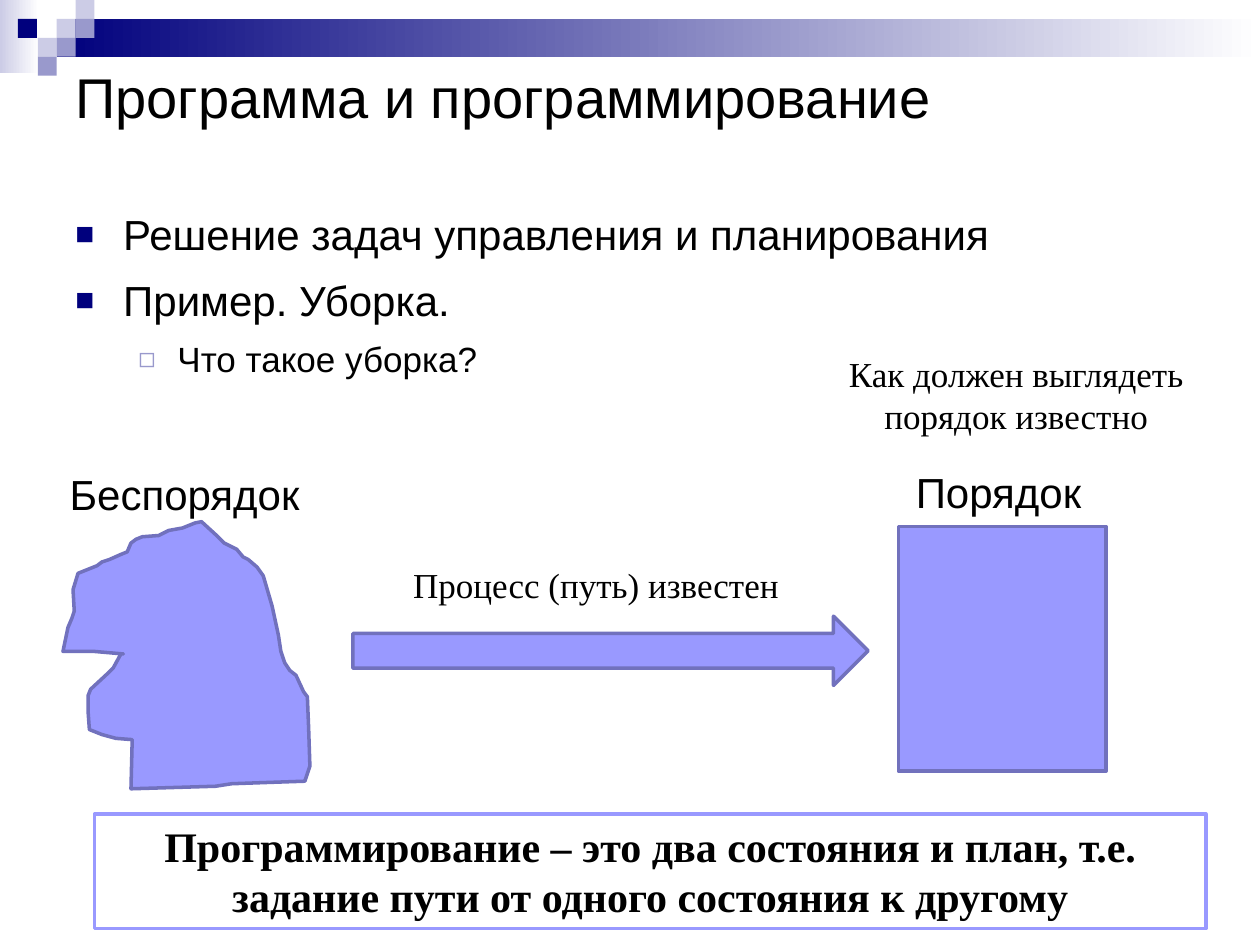
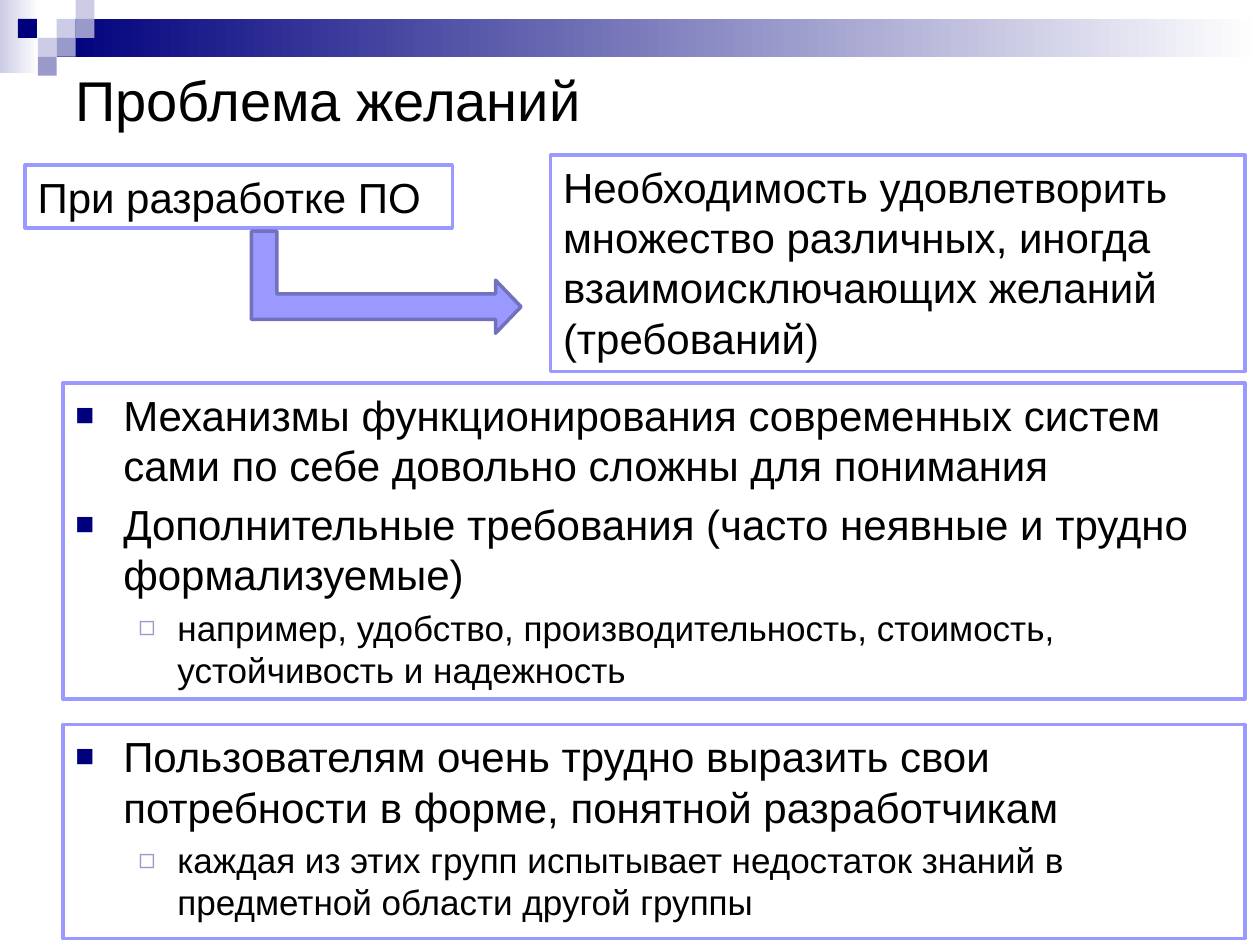
from lxml import etree
from pptx import Presentation
from pptx import util as u
from pptx.dml.color import RGBColor
from pptx.enum import shapes, text
from pptx.oxml import ns

NAVY, LAVENDER, PALE, VIOLET, EDGE = "00007D", "9999CC", "CCCCE6", "9999FF", "7171BD"
WHITE, BLACK = "FFFFFF", "000000"
SANS, SERIF = "Arial", "Times New Roman"
RECTANGLE = shapes.MSO_SHAPE.RECTANGLE
CENTER = text.PP_ALIGN.CENTER
MIDDLE = text.MSO_ANCHOR.MIDDLE

HEADER_BANDS = [
    ((0, 0, 0.31, 0.58), PALE),
    ((0.45, 0.15, 9.55, 0.3), NAVY),
]
TILE = 0.15
HEADER_TILES = [
    (3, 1, PALE), (4, 0, PALE), (4, 1, LAVENDER), (2, 2, PALE),
    (0.95, 1, NAVY), (3, 2, LAVENDER), (2, 3, LAVENDER),
]

LEVELS = [
    dict(size=24, left=0.38, hanging=0.38, before=4.8, mark="■", color=NAVY, scale=75),
    dict(size=20, left=0.81, hanging=0.31, before=4, mark="◻", color=LAVENDER, scale=80),
]

CLEANING = [
    (0, "Решение задач управления и планирования"),
    (0, "Пример. Уборка."),
    (1, "Что такое уборка?"),
]
REQUIREMENTS = [
    (0, "Механизмы функционирования современных систем сами по себе довольно сложны для понимания"),
    (0, "Дополнительные требования (часто неявные и трудно формализуемые)"),
    (1, "например, удобство, производительность, стоимость, устойчивость и надежность"),
]
USERS = [
    (0, "Пользователям очень трудно выразить свои потребности в форме, понятной разработчикам"),
    (1, "каждая из этих групп испытывает недостаток знаний в предметной области другой группы"),
]
STATE_LABELS = [
    ("Беспорядок", (0.43, 3.67, 2.07, 0.5)),
    ("Порядок", (6.89, 3.65, 2.07, 0.5)),
]
FRAMED_NOTES = [
    ("При разработке ПО", (0.2, 1.31, 3.39, 0.5)),
    ("Необходимость удовлетворить множество различных, иногда взаимоисключающих желаний (требований)",
     (4.37, 1.23, 5.51, 1.72)),
]
DISORDER_OUTLINE = [
    (0.62, 4.55), (0.77, 4.49), (0.81, 4.46), (0.87, 4.44), (0.96, 4.4), (1.01, 4.38),
    (1.04, 4.31), (1.08, 4.28), (1.13, 4.26), (1.26, 4.25), (1.34, 4.21), (1.45, 4.19),
    (1.55, 4.15), (1.6, 4.14), (1.72, 4.25), (1.78, 4.31), (1.88, 4.36), (1.93, 4.42),
    (1.97, 4.44), (2.04, 4.5), (2.09, 4.57), (2.16, 4.81), (2.21, 5.04), (2.23, 5.17),
    (2.26, 5.26), (2.3, 5.32), (2.35, 5.36), (2.41, 5.49), (2.44, 5.53), (2.45, 5.77),
    (2.46, 6.08), (2.42, 6.2), (2.13, 6.21), (1.84, 6.22), (1.71, 6.24), (1.38, 6.25),
    (1.04, 6.26), (1.05, 5.87), (0.92, 5.86), (0.81, 5.83), (0.71, 5.79), (0.7, 5.65),
    (0.7, 5.52), (0.72, 5.47), (0.86, 5.34), (0.9, 5.3), (0.96, 5.19), (0.98, 5.19),
    (0.75, 5.17), (0.5, 5.17), (0.54, 4.98), (0.57, 4.91), (0.59, 4.85), (0.58, 4.68),
]


def rgb(value):
    return RGBColor.from_string(value)


def inches(lengths):
    return [u.Inches(length) for length in lengths]


def paint(shape, fill, line=None):
    shape.shadow.inherit = False
    shape.fill.solid()
    shape.fill.fore_color.rgb = rgb(fill)
    if line:
        shape.line.color.rgb = rgb(line)
        shape.line.width = u.Pt(2)
    else:
        shape.line.fill.background()
    return shape


def add_figure(slide, kind, box, fill=VIOLET, line=EDGE):
    return paint(slide.shapes.add_shape(kind, *inches(box)), fill, line)


def add_panel(slide, box):
    return add_figure(slide, RECTANGLE, box, WHITE, VIOLET)


def add_run(paragraph, content, size, font=SANS, bold=False):
    run = paragraph.add_run()
    run.text = content
    run.font.size = u.Pt(size)
    run.font.name = font
    run.font.bold = bold
    run.font.color.rgb = rgb(BLACK)


def write(shape, content, size=24, font=SANS, align=text.PP_ALIGN.LEFT,
          bold=False, wrap=True, anchor=text.MSO_ANCHOR.TOP):
    frame = shape.text_frame
    frame.word_wrap = wrap
    frame.vertical_anchor = anchor
    paragraph = frame.paragraphs[0]
    paragraph.alignment = align
    add_run(paragraph, content, size, font, bold)


def add_label(slide, content, box, **style):
    write(slide.shapes.add_textbox(*inches(box)), content, **style)


def set_bullet(paragraph, level):
    properties = paragraph._p.get_or_add_pPr()
    properties.set("marL", str(u.Inches(level["left"])))
    properties.set("indent", str(-u.Inches(level["hanging"])))
    color = etree.SubElement(properties, ns.qn("a:buClr"))
    etree.SubElement(color, ns.qn("a:srgbClr"), val=level["color"])
    etree.SubElement(properties, ns.qn("a:buSzPct"), val=str(level["scale"] * 1000))
    etree.SubElement(properties, ns.qn("a:buFont"), typeface=SANS)
    etree.SubElement(properties, ns.qn("a:buChar"), char=level["mark"])


def write_bullets(shape, items, line_spacing=1.0):
    frame = shape.text_frame
    frame.word_wrap = True
    frame.vertical_anchor = text.MSO_ANCHOR.TOP
    for index, (depth, content) in enumerate(items):
        level = LEVELS[depth]
        paragraph = frame.add_paragraph() if index else frame.paragraphs[0]
        paragraph.level = depth
        paragraph.alignment = text.PP_ALIGN.LEFT
        paragraph.line_spacing = line_spacing
        paragraph.space_before = u.Pt(level["before"])
        set_bullet(paragraph, level)
        add_run(paragraph, content, level["size"])


def add_base_slide(presentation, title, title_box):
    slide = presentation.slides.add_slide(presentation.slide_layouts[6])
    for box, color in HEADER_BANDS:
        band = add_figure(slide, RECTANGLE, box, color, None)
        band.fill.gradient()
        band.fill.gradient_angle = 0
        for stop, shade, position in zip(band.fill.gradient_stops, (color, WHITE), (0, 1)):
            stop.color.rgb = rgb(shade)
            stop.position = position
    for column, row, color in HEADER_TILES:
        add_figure(slide, RECTANGLE, (column * TILE, row * TILE, TILE, TILE), color, None)
    add_label(slide, title, title_box, size=32, anchor=MIDDLE)
    return slide


def add_disorder(slide):
    start, *points = [inches(point) for point in DISORDER_OUTLINE]
    builder = slide.shapes.build_freeform(*start)
    builder.add_line_segments(points, close=True)
    paint(builder.convert_to_shape(), VIOLET, EDGE)


def build_programming_slide(presentation):
    slide = add_base_slide(presentation, "Программа и программирование", (0.5, 0.44, 9.22, 0.65))
    write_bullets(slide.shapes.add_textbox(*inches((0.5, 1.55, 9, 2.83))), CLEANING, 1.14)
    add_disorder(slide)
    for label, box in STATE_LABELS:
        add_label(slide, label, box, align=CENTER)
    add_figure(slide, RECTANGLE, (7.13, 4.18, 1.65, 1.94))
    add_label(slide, "Как должен выглядеть порядок известно", (6.31, 2.75, 3.51, 0.77),
              size=20, font=SERIF, align=CENTER)
    add_figure(slide, shapes.MSO_SHAPE.RIGHT_ARROW, (2.8, 4.89, 4.09, 0.55))
    add_label(slide, "Процесс (путь) известен", (3.18, 4.42, 3.13, 0.44),
              size=20, font=SERIF, wrap=False)
    write(add_panel(slide, (0.75, 6.46, 8.82, 0.91)),
          "Программирование – это два состояния и план, т.е. задание пути от одного состояния к другому",
          font=SERIF, align=CENTER, bold=True)


def build_wishes_slide(presentation):
    slide = add_base_slide(presentation, "Проблема желаний", (0.5, 0.5, 9, 0.58))
    write_bullets(add_panel(slide, (0.5, 5.75, 9.38, 1.7)), USERS)
    for note, box in FRAMED_NOTES:
        write(add_panel(slide, box), note)
    arrow = add_figure(slide, shapes.MSO_SHAPE.BENT_UP_ARROW, (2.66, 1.17, 0.81, 2.14))
    arrow.rotation = 90
    for index, value in enumerate((0.25, 0.26, 0.25)):
        arrow.adjustments[index] = value
    write_bullets(add_panel(slide, (0.5, 3.04, 9.38, 2.51)), REQUIREMENTS)


def main():
    presentation = Presentation()
    presentation.slide_width = u.Inches(10)
    presentation.slide_height = u.Inches(7.5)
    build_programming_slide(presentation)
    build_wishes_slide(presentation)
    presentation.save("out.pptx")


if __name__ == "__main__":
    main()
